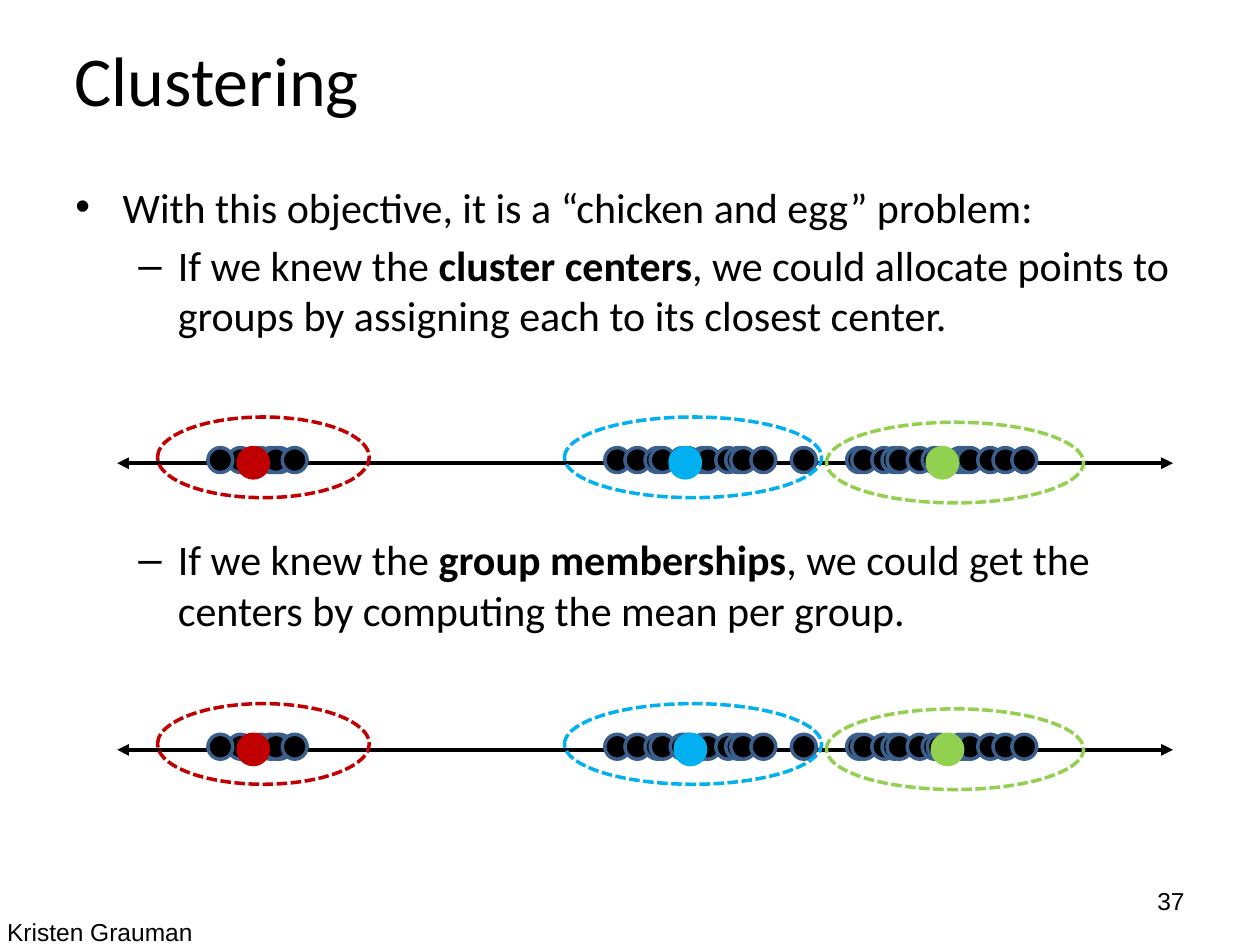
from lxml.etree import SubElement
from pptx import Presentation
from pptx.dml.color import RGBColor
from pptx.enum.dml import MSO_LINE
from pptx.enum.shapes import MSO_CONNECTOR, MSO_SHAPE
from pptx.enum.text import MSO_ANCHOR, PP_ALIGN
from pptx.oxml.ns import qn
from pptx.util import Pt

COLORS = {
    "black": "000000",
    "point_edge": "3A5F8C",
    "red": "C00000",
    "blue": "00B0F0",
    "green": "92D050",
}

# Left edges of the data points, from back to front
POINT_LEFTS = [
    130.3, 141.8, 118.8, 152.6, 345.6, 357.1, 368.6, 371.5, 383, 385.9,
    147.6, 150.5, 161.3, 483.8, 486.7, 498.2, 504, 506.9, 518.4, 394.6,
    397.4, 409, 414.7, 417.6, 429.1, 452.2, 527, 529.9, 541.4, 544.3,
    547.2, 558.7, 567.4, 578.2,
]
POINT_SIZE = 14.2
CENTER_SIZE = 17.3

# Cluster color, ring left, ring width, ring top above the axis
RINGS = [
    ("red", 90, 121, 26.4),
    ("blue", 322.6, 146.9, 26.4),
    ("green", 472.3, 146.9, 23.4),
]
# Axis height and left edges of the three cluster centers
NUMBER_LINES = [
    (264.7, [136.1, 383, 529.9]),
    (428.5, [136.1, 385.9, 532.8]),
]

# Level, space before, (text, bold) runs
BULLETS = [
    (0, 0, [("With this objective, it is a “chicken and egg” problem:", False)]),
    (1, 4.5, [
        ("If we knew the ", False),
        ("cluster centers", True),
        (", we could allocate points to groups by assigning each to its "
         "closest center.", False),
    ]),
    (1, 110.5, [
        ("If we knew the ", False),
        ("group memberships", True),
        (", we could get the centers by computing the mean per group.", False),
    ]),
]
# Bullet sign, left margin and hanging indent for each level
BULLET_STYLES = [("•", 27, -27), ("–", 58.5, -22.5)]


def rgb(name):
    return RGBColor.from_string(COLORS[name])


def set_font(paragraph, font_name, size):
    paragraph.font.name = font_name
    paragraph.font.size = Pt(size)
    paragraph.font.color.rgb = rgb("black")


def set_title(slide, text):
    title = slide.shapes.title
    title.left, title.top, title.width, title.height = Pt(35.5), Pt(0), Pt(648), Pt(90)
    title.text_frame.text = text
    title.text_frame.vertical_anchor = MSO_ANCHOR.MIDDLE
    paragraph = title.text_frame.paragraphs[0]
    paragraph.alignment = PP_ALIGN.LEFT
    set_font(paragraph, "Calibri", 40)


def add_bullets(slide, bullets):
    frame = slide.shapes.add_textbox(Pt(36), Pt(100), Pt(663), Pt(356.5)).text_frame
    frame.word_wrap = True
    for index, (level, space_before, runs) in enumerate(bullets):
        paragraph = frame.add_paragraph() if index else frame.paragraphs[0]
        paragraph.level = level
        paragraph.space_before = Pt(space_before)
        sign, margin, indent = BULLET_STYLES[level]
        properties = paragraph._p.get_or_add_pPr()
        properties.set("marL", str(Pt(margin)))
        properties.set("indent", str(Pt(indent)))
        SubElement(properties, qn("a:buFont"), typeface="Arial")
        SubElement(properties, qn("a:buChar"), char=sign)
        set_font(paragraph, "Calibri", 24)
        for text, bold in runs:
            run = paragraph.add_run()
            run.text = text
            if bold:
                run.font.bold = True


def add_label(slide, text, left, top, width, height, alignment, anchor):
    frame = slide.shapes.add_textbox(Pt(left), Pt(top), Pt(width), Pt(height)).text_frame
    frame.word_wrap = True
    frame.vertical_anchor = anchor
    frame.text = text
    frame.paragraphs[0].alignment = alignment
    set_font(frame.paragraphs[0], "Arial", 14)


def add_ellipse(shapes, left, top, width, height, edge, fill=None):
    ellipse = shapes.add_shape(MSO_SHAPE.OVAL, Pt(left), Pt(top), Pt(width), Pt(height))
    ellipse.shadow.inherit = False
    ellipse.line.color.rgb = rgb(edge)
    ellipse.line.width = Pt(2)
    if fill:
        ellipse.fill.solid()
        ellipse.fill.fore_color.rgb = rgb(fill)
    else:
        ellipse.fill.background()
    return ellipse


def add_axis(shapes, height):
    axis = shapes.add_connector(
        MSO_CONNECTOR.STRAIGHT, Pt(67), Pt(height), Pt(670.3), Pt(height))
    axis.line.color.rgb = rgb("black")
    axis.line.width = Pt(2.25)
    outline = axis.line._get_or_add_ln()
    for end in ("a:headEnd", "a:tailEnd"):
        SubElement(outline, qn(end), type="triangle")
    SubElement(axis._element.spPr, qn("a:effectLst"))


def add_number_line(slide, height, center_lefts):
    # Axis with its data points
    data = slide.shapes.add_group_shape().shapes
    add_axis(data, height)
    marker_top = height - 8.9
    for left in POINT_LEFTS:
        add_ellipse(data, left, marker_top, POINT_SIZE, POINT_SIZE, "point_edge", "black")

    # Group outlines and cluster centers
    for (color, left, width, rise), center_left in zip(RINGS, center_lefts):
        ring = add_ellipse(slide.shapes, left, height - rise, width, 46.1, color)
        ring.line.dash_style = MSO_LINE.SQUARE_DOT
        add_ellipse(slide.shapes, center_left, marker_top,
                    CENTER_SIZE, CENTER_SIZE, color, color)


def main():
    presentation = Presentation()
    presentation.slide_width, presentation.slide_height = Pt(720), Pt(540)
    slide = presentation.slides.add_slide(presentation.slide_layouts[5])

    set_title(slide, "Clustering")
    add_bullets(slide, BULLETS)
    for height, center_lefts in NUMBER_LINES:
        add_number_line(slide, height, center_lefts)

    # Credit and slide number
    add_label(slide, "Kristen Grauman", -3, 520.5, 202, 24.5,
              PP_ALIGN.LEFT, MSO_ANCHOR.TOP)
    add_label(slide, "37", 516, 500.5, 168, 28.5, PP_ALIGN.RIGHT, MSO_ANCHOR.MIDDLE)

    presentation.save("out.pptx")


if __name__ == "__main__":
    main()
